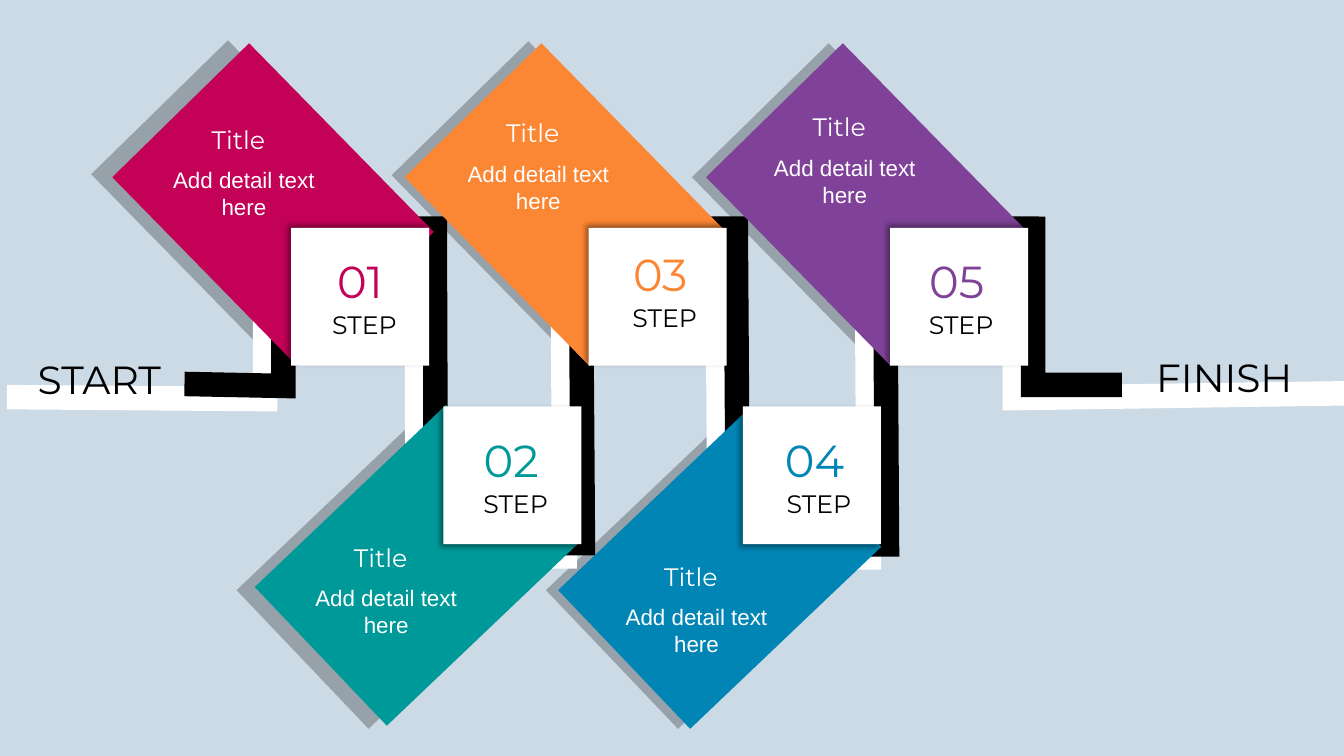
"""Build a five-step roadmap slide running from START to FINISH."""
from lxml import etree
from pptx import Presentation
from pptx import util as u
from pptx.dml.color import RGBColor
from pptx.enum import shapes, text
from pptx.oxml.ns import qn

Pt = u.Pt
COLORS = {"back": "CCDAE6", "black": "000000", "white": "FFFFFF",
          "pink": "C30157", "teal": "009999", "orange": "FB8633",
          "blue": "0085B4", "purple": "804299"}
TILE_W, TILE_H, CARD = 136.8, 188.6, 98.6
UP, DOWN = 315.6, 46.4

prs = Presentation()
prs.slide_width, prs.slide_height = Pt(960), Pt(540)
s = prs.slides.add_slide(prs.slide_layouts[6])
s.background.fill.solid()
s.background.fill.fore_color.rgb = RGBColor.from_string(COLORS["back"])


def add_rect(at, w, h, color, rotation=0):
    sp = s.shapes.add_shape(shapes.MSO_SHAPE.RECTANGLE, Pt(at[0]), Pt(at[1]), Pt(w), Pt(h))
    sp.rotation = rotation
    sp.shadow.inherit = False
    sp.fill.solid()
    sp.fill.fore_color.rgb = RGBColor.from_string(COLORS[color])
    sp.line.fill.background()
    return sp


def add_label(at, w, h, words, size, color, font="Montserrat"):
    tf = s.shapes.add_textbox(Pt(at[0]), Pt(at[1]), Pt(w), Pt(h)).text_frame
    tf.word_wrap = True
    tf.auto_size = text.MSO_AUTO_SIZE.SHAPE_TO_FIT_TEXT
    p = tf.paragraphs[0]
    p.text = words
    p.alignment = text.PP_ALIGN.CENTER
    r = p.runs[0]
    r.font.size = Pt(size)
    r.font.name = font
    r.font.color.rgb = RGBColor.from_string(COLORS[color])


steps = [
    {"color": "pink", "tilt": UP, "shade": (111.6, 49.7), "tile": (126.7, 51.8),
     "card": (208, 162.7), "number": (218.2, 177.8), "title": (95, 85)},
    {"color": "teal", "tilt": DOWN, "shade": (216, 311.8), "tile": (229, 309.6),
     "card": (316.8, 290.2), "number": (326.2, 305.3), "title": (196.6, 383.8)},
    {"color": "orange", "tilt": UP, "shade": (326.2, 50.4), "tile": (335.5, 51.8),
     "card": (420.5, 162.7), "number": (432.7, 172.8), "title": (305.3, 80.6)},
    {"color": "blue", "tilt": DOWN, "shade": (437, 311.8), "tile": (445.7, 311.8),
     "card": (530.6, 290.2), "number": (542.9, 305.3), "title": (418.3, 397.4)},
    {"color": "purple", "tilt": UP, "shade": (540.7, 51.8), "tile": (550.8, 51.8),
     "card": (635.8, 162.7), "number": (644.4, 177.8), "title": (524.2, 76.3)},
]

for step in steps:
    sp = add_rect(step["shade"], TILE_W, TILE_H, "black", step["tilt"])
    clr = sp.fill._xPr.find(qn("a:solidFill"))[0]
    etree.SubElement(clr, qn("a:alpha"), val="26000")

bends = [(189.4, 285.1), (189.4, 172.8), (297.6, 172.8), (298.4, 397.4),
         (403.4, 397.4), (401.8, 172.8), (512.6, 172.8), (514.1, 398.2),
         (620.6, 398.2), (619.2, 172.1), (725, 172.8), (725, 284.4)]
roads = [("white", (5, 283.7), (960, 281), 0, 0),
         ("black", (131.8, 274.3), (801.4, 275), 13, -9.4)]
for color, start, end, dx, dy in roads:
    points = [start] + [(x + dx, y + dy) for x, y in bends] + [end]
    points = [(Pt(x), Pt(y)) for x, y in points]
    road = s.shapes.build_freeform(*points[0])
    road.add_line_segments(points[1:], close=False)
    sp = road.convert_to_shape()
    sp.shadow.inherit = False
    sp.fill.background()
    sp.line.width = Pt(17.5)
    sp.line.color.rgb = RGBColor.from_string(COLORS[color])
    etree.SubElement(sp.line._get_or_add_ln(), qn("a:miter"), lim="800000")

for step in steps:
    add_rect(step["tile"], TILE_W, TILE_H, step["color"], step["tilt"])

for step in steps:
    sp = add_rect(step["card"], CARD, CARD, "white")
    angle = 225 if step["tilt"] == UP else 135
    effects = sp._element.spPr.find(qn("a:effectLst"))
    shadow = etree.SubElement(effects, qn("a:outerShdw"), blurRad=str(Pt(4)),
                              dist=str(Pt(3)), dir=str(angle * 60000), rotWithShape="0")
    clr = etree.SubElement(shadow, qn("a:srgbClr"), val=COLORS["black"])
    etree.SubElement(clr, qn("a:alpha"), val="40000")

for i, step in enumerate(steps, 1):
    x, y = step["number"]
    add_label((x, y), 77.8, 46, f"{i:02}", 32, step["color"])
    add_label((x + 3.2, y + 39.8), 77.8, 29, "STEP", 18, "black")
    x, y = step["title"]
    add_label((x, y), 150.5, 29, "Title", 18, "white")
    add_label((x + 7.9, y + 30.2), 142.6, 46, "Add detail text here", 16, "white", "Arial")

add_label((-4.3, 250.6), 150.5, 41, "START", 28, "black")
add_label((799.2, 249.1), 150.5, 41, "FINISH", 28, "black")

prs.save("out.pptx")
